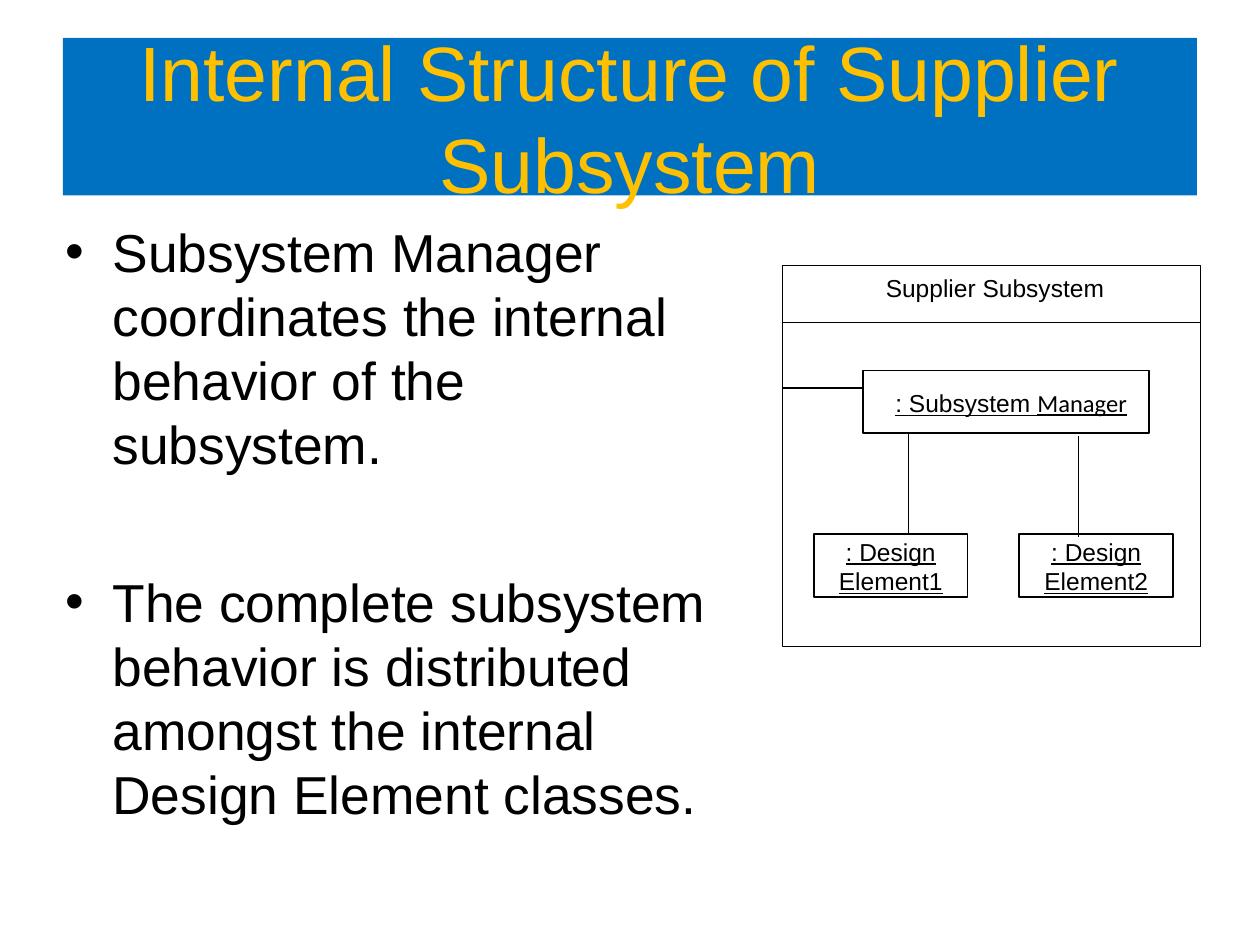
"""Build the slide on the internal structure of the supplier subsystem."""
import pptx
import pptx.dml.color
import pptx.enum.shapes
import pptx.enum.text
import pptx.oxml.ns
import pptx.util
from lxml import etree

Pt = pptx.util.Pt
ALIGN = pptx.enum.text.PP_ALIGN
ANCHOR = pptx.enum.text.MSO_ANCHOR
FIT = pptx.enum.text.MSO_AUTO_SIZE
COLORS = {"banner": "0070C0", "heading": "FFC000", "ink": "000000"}


def rgb(name):
    return pptx.dml.color.RGBColor.from_string(COLORS[name])


def add_box(slide, left, top, width, height, fill=None, line=None):
    box = slide.shapes.add_shape(
        pptx.enum.shapes.MSO_SHAPE.RECTANGLE, Pt(left), Pt(top), Pt(width), Pt(height))
    box.shadow.inherit = False
    if fill:
        box.fill.solid()
        box.fill.fore_color.rgb = rgb(fill)
    else:
        box.fill.background()
    if line:
        box.line.color.rgb = rgb("ink")
        box.line.width = Pt(line)
    else:
        box.line.fill.background()
    return box


def add_area(slide, left, top, width, height):
    return slide.shapes.add_textbox(Pt(left), Pt(top), Pt(width), Pt(height))


def add_line(slide, x1, y1, x2, y2):
    line = slide.shapes.add_connector(
        pptx.enum.shapes.MSO_CONNECTOR.STRAIGHT, Pt(x1), Pt(y1), Pt(x2), Pt(y2))
    line.line.color.rgb = rgb("ink")
    line.line.width = Pt(0.75)
    properties = line._element.spPr
    etree.SubElement(properties, pptx.oxml.ns.qn("a:effectLst"))


def add_bullet(paragraph, indent):
    properties = paragraph._p.get_or_add_pPr()
    properties.set("marL", str(Pt(indent)))
    properties.set("indent", str(-Pt(indent)))
    font = etree.SubElement(properties, pptx.oxml.ns.qn("a:buFont"))
    font.set("typeface", "Arial")
    etree.SubElement(properties, pptx.oxml.ns.qn("a:buChar")).set("char", "•")


def write(shape, paragraphs, size=14, color="ink", align=ALIGN.CENTER, anchor=ANCHOR.TOP,
          insets=(0, 0), wrap=False, underline=None, gap=0, indent=None):
    """Fill a shape with paragraphs, each a list of (text, font name) runs."""
    frame = shape.text_frame
    frame.word_wrap = wrap
    frame.auto_size = FIT.NONE if wrap else FIT.SHAPE_TO_FIT_TEXT
    frame.vertical_anchor = anchor
    frame.margin_left = frame.margin_right = Pt(insets[0])
    frame.margin_top = frame.margin_bottom = Pt(insets[1])
    for index, runs in enumerate(paragraphs):
        paragraph = frame.add_paragraph() if index else frame.paragraphs[0]
        paragraph.alignment = align
        if index and gap:
            paragraph.space_before = Pt(gap)
        if indent:
            add_bullet(paragraph, indent)
        for text, font in runs:
            run = paragraph.add_run()
            run.text = text
            run.font.name = font
            run.font.size = Pt(size)
            run.font.underline = underline
            run.font.color.rgb = rgb(color)


def add_element(slide, left, name):
    add_box(slide, left, 305.3, 87.8, 36, line=1)
    label = add_area(slide, left + 13.9, 306.7, 60, 33.8)
    write(label, [[(": Design", "Arial")], [(name, "Arial")]], underline=True)


def add_diagram(slide):
    left, right = 447.1, 686.2
    add_box(slide, left, 151.9, right - left, 217.4, line=0.75)
    heading = add_area(slide, 497.5, 151.9, 142.6, 25.2)
    write(heading, [[("Supplier Subsystem", "Arial")]], align=ALIGN.LEFT, insets=(8.64, 4.32))
    add_line(slide, left, 184.3, right, 184.3)

    add_box(slide, 493.2, 211.7, 163.4, 36, line=1)
    manager = add_area(slide, 507.6, 221.8, 140.4, 16.6)
    write(manager, [[(": Subsystem ", "Arial"), ("Manager", "Calibri")]], underline=True)
    for x, name in ((465.1, "Element1"), (582.5, "Element2")):
        add_element(slide, x, name)

    add_line(slide, 493.2, 221.8, left, 221.8)
    add_line(slide, 519.1, 247.7, 519.1, 305.3)
    add_line(slide, 616.3, 249.1, 616.3, 306.7)


def main():
    deck = pptx.Presentation()
    deck.slide_width, deck.slide_height = Pt(720), Pt(540)
    slide = deck.slides.add_slide(deck.slide_layouts[6])

    title = add_box(slide, 36, 21.6, 648, 90, fill="banner")
    write(title, [[("Internal Structure of Supplier Subsystem", "Arial")]], size=44,
          color="heading", anchor=ANCHOR.MIDDLE, insets=(7.2, 3.6), wrap=True)

    points = (
        "Subsystem Manager coordinates the internal behavior of the subsystem.",
        "The complete subsystem behavior is distributed amongst the internal "
        "Design Element classes.",
    )
    body = add_area(slide, 30.2, 121.7, 394.6, 403.2)
    write(body, [[(point, "Arial")] for point in points], size=30.5, align=ALIGN.LEFT,
          insets=(7.2, 3.6), wrap=True, gap=53.5, indent=27)

    add_diagram(slide)
    deck.save("out.pptx")


if __name__ == "__main__":
    main()
